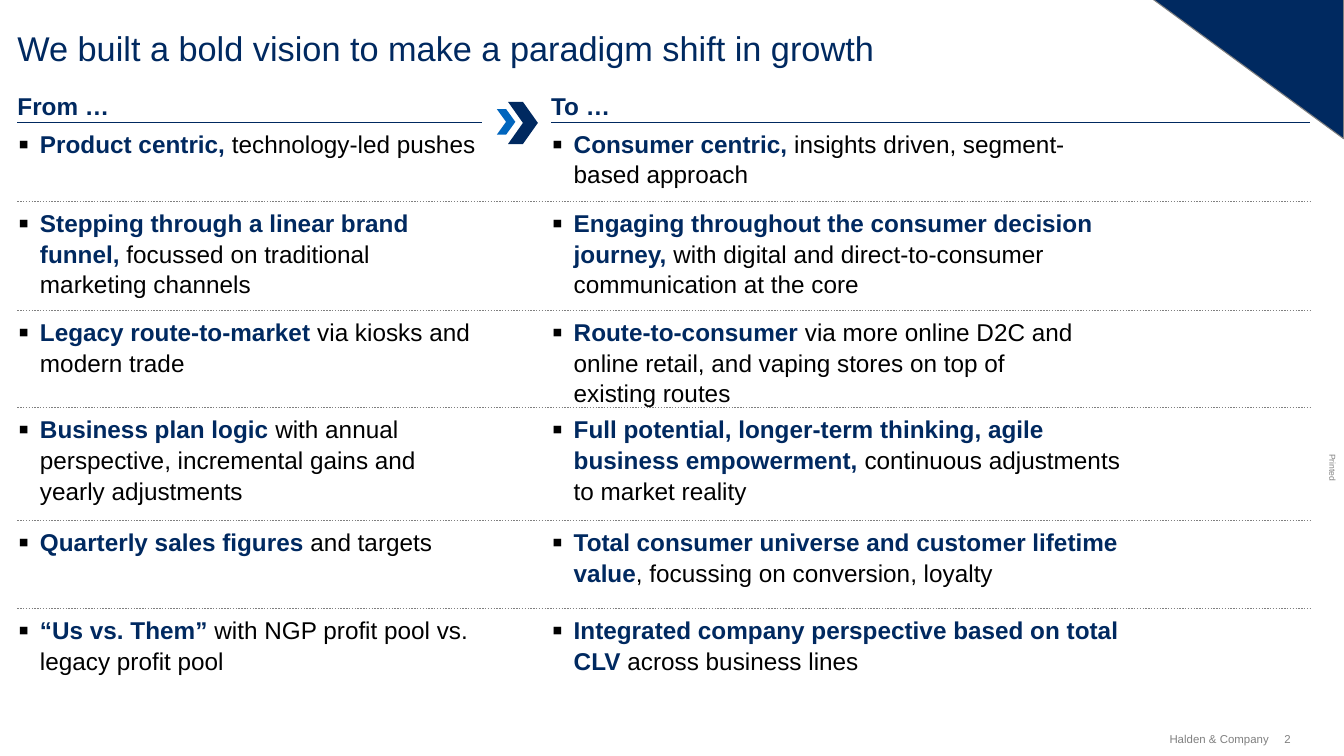
from pptx import Presentation
from pptx.dml.color import RGBColor
from pptx.enum.dml import MSO_LINE as Dash
from pptx.enum.shapes import MSO_CONNECTOR as Conn, MSO_SHAPE as Shape
from pptx.enum.text import MSO_ANCHOR as Anchor, PP_ALIGN as Align
from pptx.oxml import parse_xml
from pptx.oxml.ns import nsdecls, qn
from pptx.util import Pt

NAVY, BLUE, GREY, BLACK = "002960", "0065BD", "808080", "000000"
LEFT, RIGHT, MID = 12.2, 917.3, 385.9  # slide margins and second column
WIDE, STEP = 325.4, 20.6  # first column width, text line height

deck = Presentation()
deck.slide_width, deck.slide_height = Pt(941), Pt(529.2)
slide = deck.slides.add_slide(deck.slide_layouts[6])
shapes = slide.shapes
color = RGBColor.from_string


def write(words, x, y, w, h, size, hue, bold=False, wrap=True):
    box = shapes.add_textbox(Pt(x), Pt(y), Pt(w), Pt(h))
    frame = box.text_frame
    frame.margin_left = frame.margin_right = 0
    frame.margin_top = frame.margin_bottom = 0
    frame.word_wrap = wrap
    frame.text = words
    para = frame.paragraphs[0]
    para.line_spacing = 1.05
    font = para.runs[0].font
    font.name, font.size, font.bold = "Arial", Pt(size), bold
    font.color.rgb = color(hue)
    return box


def rule(x, y, end, hue, width, dash=None):
    line = shapes.add_connector(Conn.STRAIGHT, Pt(x), Pt(y), Pt(end), Pt(y))
    line.line.color.rgb = color(hue)
    line.line.width = Pt(width)
    if dash:
        line.line.dash_style = dash
    line.element.spPr.append(parse_xml(f"<a:effectLst {nsdecls('a')}/>"))


# Corner triangle and footer
corner = shapes.add_shape(
    Shape.ISOSCELES_TRIANGLE, Pt(806.9), Pt(-0.7), Pt(133.9), Pt(97.9))
corner.adjustments[0] = 1
corner.element.spPr.xfrm.set("flipV", "1")
corner.shadow.inherit = False
corner.fill.solid()
corner.fill.fore_color.rgb = color(NAVY)
corner.line.color.rgb = color(GREY)
corner.line.width = Pt(0.75)

write("Printed", 923.8, 324, 19.4, 7.2, 6, GREY, wrap=False).rotation = 90
page = write("2", 899.3, 512.6, 10.1, 9.4, 8, GREY, wrap=False)
firm = write("Halden & Company", 808.6, 512.6, 79.9, 9.4, 8, GREY, wrap=False)
firm.text_frame.paragraphs[0].alignment = Align.RIGHT
for foot in (page, firm):
    foot.text_frame.vertical_anchor = Anchor.MIDDLE

# Title and column heads
write("We built a bold vision to make a paradigm shift in growth",
      LEFT, 18, 905, 28.8, 24, NAVY)
for head, x, end in (("From …", LEFT, LEFT + WIDE), ("To …", MID, RIGHT)):
    write(head, x, 62.6, end - x, STEP, 17, NAVY, True)
    rule(x, 85.7, end, NAVY, 0.75)

# Chevrons between the heads
for x, y, w, h, hue in ((347.8, 76.3, 13, 18, BLUE),
                        (355.7, 71.3, 20.9, 29.5, NAVY)):
    arrow = shapes.add_shape(Shape.CHEVRON, Pt(x), Pt(y), Pt(w), Pt(h))
    arrow.shadow.inherit = False
    arrow.fill.solid()
    arrow.fill.fore_color.rgb = color(hue)
    arrow.line.fill.background()

# Rows: top, then bold lead, rest and line count for each side
rows = [
    (89.3, ("Product centric, ", "technology-led pushes", 1),
     ("Consumer centric, ", "insights driven, segment-based approach", 2)),
    (144.7, ("Stepping through a linear brand funnel, ",
             "focussed on traditional marketing channels", 3),
     ("Engaging throughout the consumer decision journey,",
      " with digital and direct-to-consumer communication at the core", 3)),
    (221.2, ("Legacy route-to-market ", "via kiosks and modern trade", 2),
     ("Route-to-consumer ", "via more online D2C and online retail, "
      "and vaping stores on top of \nexisting routes", 3)),
    (289.2, ("Business plan logic ", "with annual perspective, "
             "incremental gains and yearly adjustments", 3),
     ("Full potential, longer-term thinking, agile business empowerment, ",
      "continuous adjustments to market reality", 3)),
    (368.1, ("Quarterly sales figures ", "and targets", 1),
     ("Total consumer universe and customer lifetime value",
      ", focussing on conversion, loyalty", 2)),
    (429.6, ("“Us vs. Them” ",
             "with NGP profit pool vs. legacy profit pool", 2),
     ("Integrated company perspective based on total CLV ",
      "across business lines", 2)),
]
bullet = (
    f'<a:buClr {nsdecls("a")}><a:srgbClr val="{BLACK}"/></a:buClr>',
    f'<a:buSzPct {nsdecls("a")} val="125000"/>',
    f'<a:buFont {nsdecls("a")} typeface="Arial"/>',
    f'<a:buChar {nsdecls("a")} char="▪"/>',
)
for num, (top, *sides) in enumerate(rows):
    if num:
        rule(LEFT, top - 3.8, RIGHT, GREY, 1, Dash.ROUND_DOT)
    for (lead, rest, count), x, w in zip(sides, (LEFT, MID), (WIDE, 403.9)):
        box = write(lead, x, top, w, count * STEP, 17, NAVY, True)
        para = box.text_frame.paragraphs[0]
        props = para._p.get_or_add_pPr()
        props.set("marL", str(Pt(15.8)))
        props.set("indent", str(Pt(-15.1)))
        for part in bullet:
            props.append(parse_xml(part))
        for index, piece in enumerate(rest.split("\n")):
            if index:
                para.add_line_break()
            run = para.add_run()
            run.text = piece
            run.font.name, run.font.size = "Arial", Pt(17)
            run.font.color.rgb = color(BLACK)

deck.save("out.pptx")
